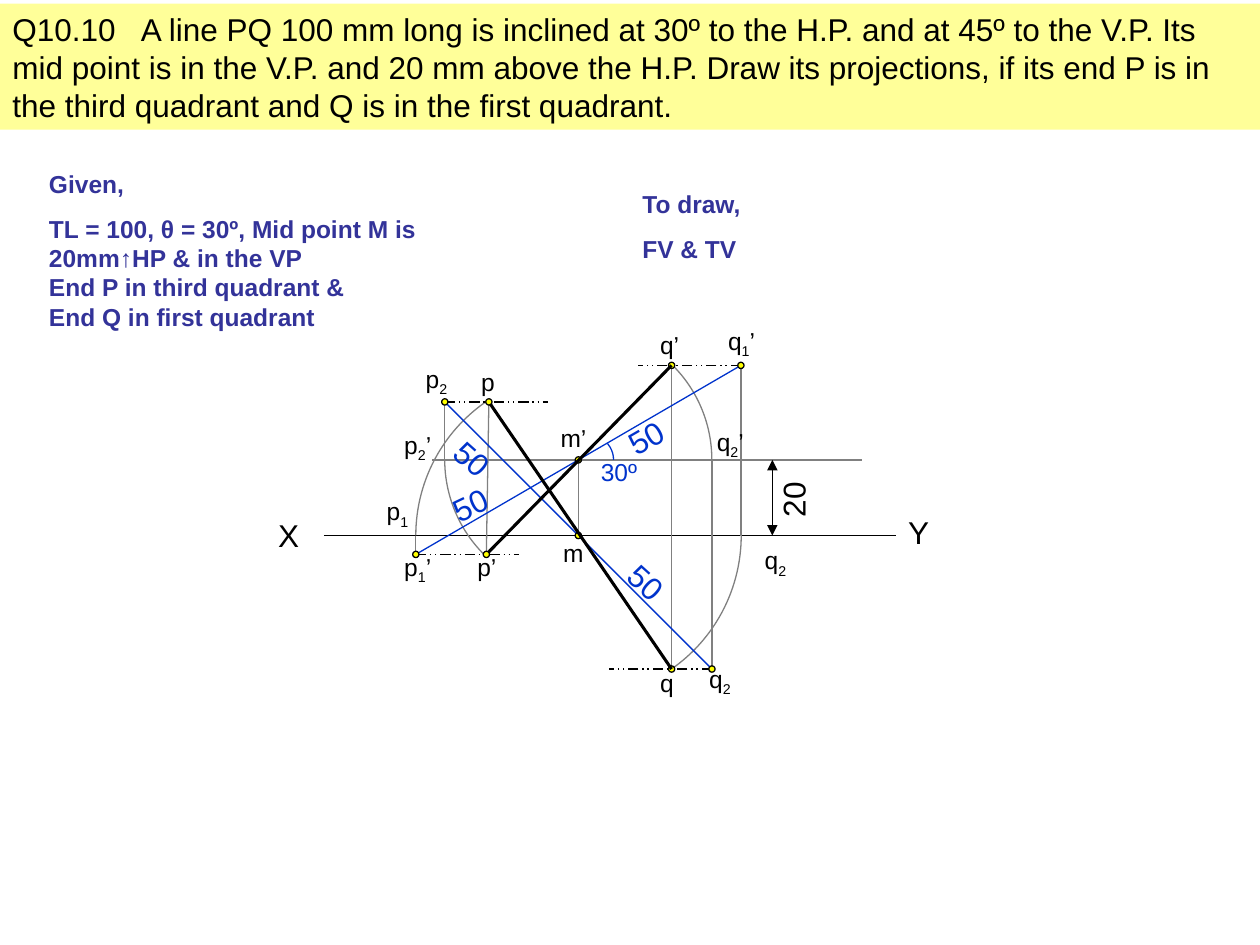
"""Build the slide that projects an inclined line PQ onto the H.P. and the V.P."""
import dataclasses
import math
import lxml.etree
import pptx
import pptx.dml.color
import pptx.enum.dml
import pptx.enum.shapes
import pptx.enum.text
import pptx.oxml.ns
import pptx.util


@dataclasses.dataclass(frozen=True)
class Theme:
    font: str = "Arial"
    black: str = "000000"
    grey: str = "808080"
    blue: str = "0033CC"
    indigo: str = "333399"
    yellow: str = "FFFF00"
    banner: str = "FFFF99"
    large: float = 18
    small: float = 14
    thin: float = 0.75
    thick: float = 1.75
    paragraph_gap: float = 8.8


THEME = Theme()
PRESETS = pptx.enum.shapes.MSO_SHAPE
WIDTH, HEIGHT = pptx.util.Inches(10), pptx.util.Inches(7.5)
COLUMNS, ROWS = 100, 75
REFERENCE_ROW, MIDPOINT_ROW = 42.5, 36.5
TOP_ROW, BOTTOM_ROW, P_TOP_ROW, P_FRONT_ROW = 29, 53.1, 31.9, 44
DOT = 0.5
LABEL_SIZE, LENGTH_SIZE = (4.5, 3.5), (7.2, 4)
POINTS = {
    "m": (45.9, REFERENCE_ROW), "m’": (45.9, MIDPOINT_ROW),
    "p": (38.8, P_TOP_ROW), "p’": (38.6, P_FRONT_ROW),
    "q": (53.3, BOTTOM_ROW), "q’": (53.3, TOP_ROW),
    "p1’": (33, P_FRONT_ROW), "q1’": (58.8, TOP_ROW),
    "p2": (35.3, P_TOP_ROW), "q2": (56.5, BOTTOM_ROW),
    "p1": (33, REFERENCE_ROW), "q1": (58.8, REFERENCE_ROW),
    "p2’": (35.3, MIDPOINT_ROW), "q2’": (56.5, MIDPOINT_ROW),
}
DASHED_ENDS = {"q1’": 50.6, "p1’": 41.2, "q2": 48.3, "p2": 43.5}
PROJECTORS = [("m’", "m"), ("q2", "q2’"), ("q’", "q"), ("p2", "p2’"),
              ("p’", "p"), ("q1’", "q1"), ("p1’", "p1")]
ARCS = [("m’", "q’", "q2’"), ("m’", "p’", "p2’"), ("m", "q1", "q"), ("m", "p1", "p")]
LABELS = [
    (("m’",), 43.5, 33.1), (("m",), 43.7, 42.2), (("q’",), 51.4, 25.7),
    (("p’",), 36.9, 43.3), (("q",), 51.4, 52.5), (("p",), 37.2, 28.6),
    (("q", "1", "’"), 56.8, 25.4), (("p", "1", "’"), 31.1, 43.3),
    (("q", "2"), 55.3, 52.2), (("p", "2"), 32.8, 28.4),
    (("q", "2", "’"), 55.9, 33.4), (("q", "2"), 59.7, 42.8),
    (("p", "1"), 29.7, 38.9), (("p", "2", "’"), 31.1, 33.6),
]
LENGTHS = [(48.7, 32.1, -30), (34.8, 37.5, -25.3), (48.6, 45, 42), (34.8, 35.2, 41.7)]


def place(left, top, width, height):
    across, down = WIDTH / COLUMNS, HEIGHT / ROWS
    return round(left * across), round(top * down), round(width * across), round(height * down)


def color(value):
    return pptx.dml.color.RGBColor.from_string(value)


def apply(target, values):
    for name, value in values.items():
        setattr(target, name, value)


def add_element(parent, tag, **attributes):
    return lxml.etree.SubElement(parent, pptx.oxml.ns.qn(tag), **attributes)


def set_outline(shape, line_color, width=THEME.thin, dash=None):
    shape.line.color.rgb = color(line_color)
    apply(shape.line, {"width": pptx.util.Pt(width), "dash_style": dash})


def add_line(slide, start, end, line_color, width=THEME.thin, dash=None, arrows=False):
    connector = slide.shapes.add_connector(
        pptx.enum.shapes.MSO_CONNECTOR.STRAIGHT, *place(*start, *end))
    set_outline(connector, line_color, width, dash)
    if arrows:
        for tag in ("a:headEnd", "a:tailEnd"):
            add_element(connector.line._get_or_add_ln(), tag, type="triangle")
    add_element(connector._element.spPr, "a:effectLst")


def add_preset(slide, preset, box, fill=None, line_color=None):
    shape = slide.shapes.add_shape(preset, *place(*box))
    shape.shadow.inherit = False
    if fill:
        shape.fill.solid()
        shape.fill.fore_color.rgb = color(fill)
    else:
        shape.fill.background()
    if line_color:
        set_outline(shape, line_color)
    else:
        shape.line.fill.background()
    return shape


def add_arc(slide, center, start, end, line_color):
    radius = max(math.dist(center, start), math.dist(center, end))
    box = (center[0] - radius, center[1] - radius, 2 * radius, 2 * radius)
    shape = add_preset(slide, PRESETS.ARC, box, line_color=line_color)
    for index, point in enumerate((start, end)):
        angle = math.atan2(point[1] - center[1], point[0] - center[0])
        shape.adjustments[index] = math.degrees(angle) % 360 * 0.6


def add_dot(slide, center):
    box = (center[0] - DOT / 2, center[1] - DOT / 2, DOT, DOT)
    add_preset(slide, PRESETS.OVAL, box, THEME.yellow, THEME.black)


def write(shape, paragraphs, size, text_color, bold=False):
    frame = shape.text_frame
    apply(frame, {"word_wrap": True, "vertical_anchor": pptx.enum.text.MSO_ANCHOR.TOP,
                  "auto_size": pptx.enum.text.MSO_AUTO_SIZE.SHAPE_TO_FIT_TEXT})
    for number, parts in enumerate(paragraphs):
        paragraph = frame.add_paragraph() if number else frame.paragraphs[0]
        apply(paragraph, {"alignment": pptx.enum.text.PP_ALIGN.LEFT,
                          "space_before": pptx.util.Pt(THEME.paragraph_gap if number else 0)})
        for index, part in enumerate(parts):
            for line_number, line in enumerate(part.split("\n")):
                if line_number:
                    paragraph.add_line_break()
                run = paragraph.add_run()
                run.text = line
                apply(run.font, {"name": THEME.font, "size": pptx.util.Pt(size), "bold": bold})
                run.font.color.rgb = color(text_color)
                if index % 2:
                    run._r.get_or_add_rPr().set("baseline", "-25000")


def add_text(slide, box, paragraphs, size, text_color=THEME.black, bold=False, rotation=0):
    shape = slide.shapes.add_textbox(*place(*box))
    shape.rotation = rotation
    write(shape, paragraphs, size, text_color, bold)


def add_question(slide):
    shape = add_preset(slide, PRESETS.RECTANGLE, (0, 0.3, COLUMNS, 10), THEME.banner)
    properties = shape.text_frame.paragraphs[0]._p.get_or_add_pPr()
    tabs = add_element(properties, "a:tabLst")
    add_element(tabs, "a:tab", pos=str(pptx.util.Inches(1.02)), algn="l")
    write(shape, [(
        "Q10.10\tA line PQ 100 mm long is inclined at 30º to the H.P. and at 45º to the V.P. "
        "Its mid point is in the V.P. and 20 mm above the H.P. Draw its projections, if its "
        "end P is in the third quadrant and Q is in the first quadrant.",)],
        THEME.large, THEME.black)


def add_projections(slide):
    add_line(slide, (25.7, REFERENCE_ROW), (71.1, REFERENCE_ROW), THEME.black)
    add_line(slide, (34.3, MIDPOINT_ROW), (68.4, MIDPOINT_ROW), THEME.grey)
    add_line(slide, (61.3, MIDPOINT_ROW), (61.3, REFERENCE_ROW), THEME.black, arrows=True)
    for start, end in PROJECTORS:
        add_line(slide, POINTS[start], POINTS[end], THEME.grey)
    for names in ARCS:
        add_arc(slide, *(POINTS[name] for name in names), THEME.grey)
    add_arc(slide, (46.7, MIDPOINT_ROW), (48.1, 35.3), (48.7, MIDPOINT_ROW), THEME.blue)
    for start, end in (("p1’", "q1’"), ("p2", "q2")):
        add_line(slide, POINTS[start], POINTS[end], THEME.blue)
    for name, column in DASHED_ENDS.items():
        add_line(slide, POINTS[name], (column, POINTS[name][1]), THEME.black,
                 dash=pptx.enum.dml.MSO_LINE.DASH_DOT_DOT)
    for name in ("m", "m’", "q", "q’", "p1’", "q1’", "p2", "q2"):
        add_dot(slide, POINTS[name])
    for start, end in (("q’", "p’"), ("q", "p")):
        add_line(slide, POINTS[start], POINTS[end], THEME.black, THEME.thick)
        add_dot(slide, POINTS[end])


def add_labels(slide):
    for parts, left, top in LABELS:
        add_text(slide, (left, top, *LABEL_SIZE), [parts], THEME.small)
    for left, top, angle in LENGTHS:
        box = (left, top, *LENGTH_SIZE)
        add_text(slide, box, [("50",)], THEME.large, THEME.blue, rotation=angle)
    add_text(slide, (46.7, 35.8, 5.2, 3.4), [("30º",)], THEME.small, THEME.blue)
    add_text(slide, (21.1, 40.5, 4.5, 4), [("X",)], THEME.large)
    add_text(slide, (71.1, 40.2, 5.3, 4), [("Y",)], THEME.large)
    add_text(slide, (60, 37.1, 5.9, 4), [("20",)], THEME.large, rotation=270)


def main():
    presentation = pptx.Presentation()
    apply(presentation, {"slide_width": WIDTH, "slide_height": HEIGHT})
    slide = presentation.slides.add_slide(presentation.slide_layouts[6])
    add_question(slide)
    given = ("TL = 100, θ = 30º, Mid point M is 20mm↑HP & in the VP\n"
             "End P in third quadrant &\nEnd Q in first quadrant")
    for box, paragraphs in (((2.9, 12.9, 37.2, 13.9), [("Given,",), (given,)]),
                            ((50, 14.5, 15.4, 6.9), [("To draw,",), ("FV & TV",)])):
        add_text(slide, box, paragraphs, THEME.small, THEME.indigo, bold=True)
    add_projections(slide)
    add_labels(slide)
    presentation.save("out.pptx")


if __name__ == "__main__":
    main()
